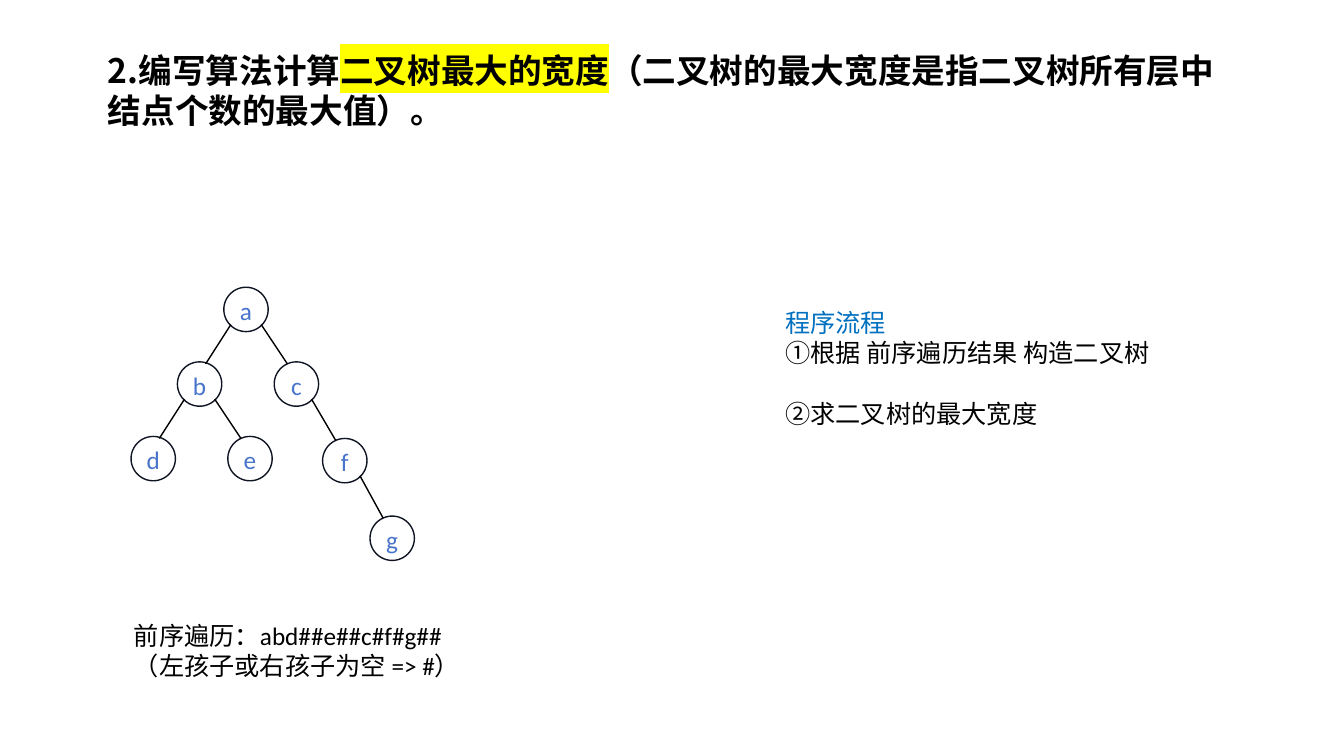
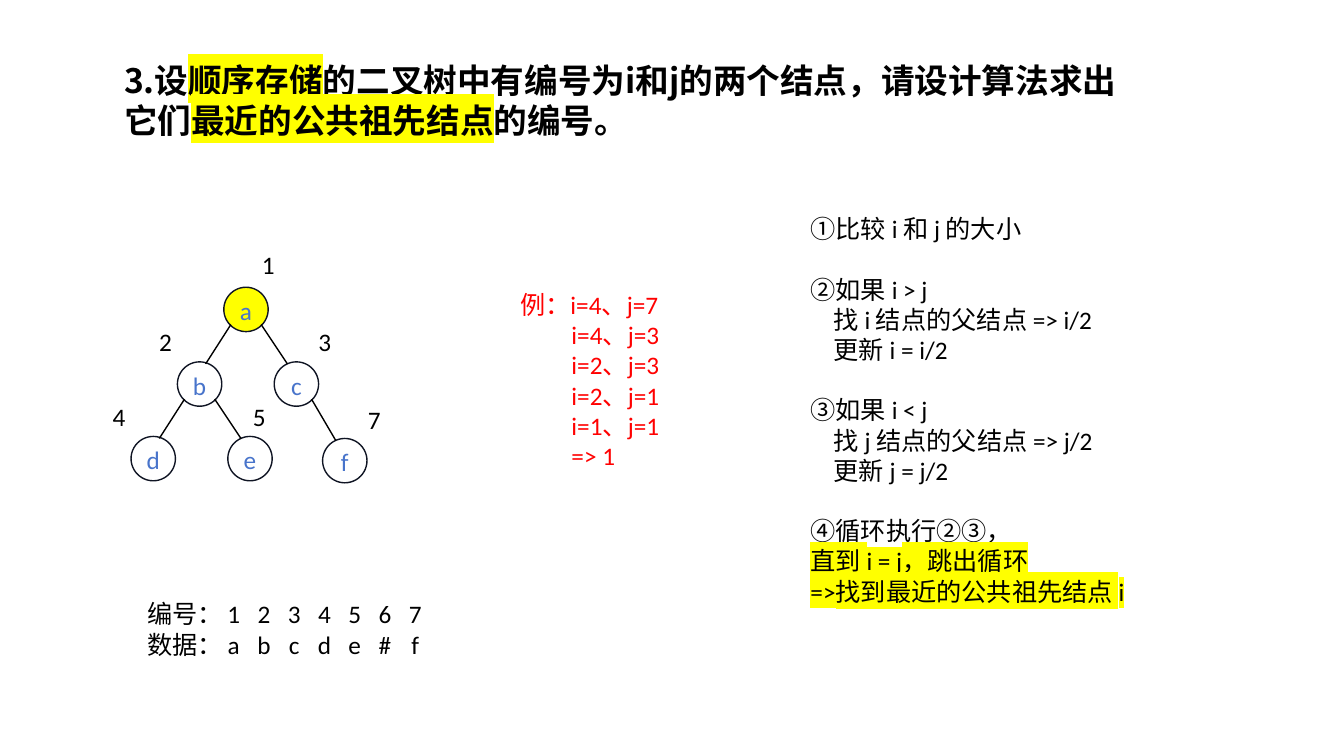
from dataclasses import dataclass

from lxml.etree import SubElement
from pptx import Presentation
from pptx.dml.color import RGBColor
from pptx.enum.lang import MSO_LANGUAGE_ID as Lang
from pptx.enum.shapes import MSO_CONNECTOR as Connector, MSO_SHAPE as Shape
from pptx.enum.text import MSO_ANCHOR as Anchor, MSO_AUTO_SIZE as AutoSize, PP_ALIGN as Align
from pptx.oxml.ns import qn
from pptx.util import Inches, Pt

# Shared style
BLACK = RGBColor(0x00, 0x00, 0x00)
RED = RGBColor(0xFF, 0x00, 0x00)
BLUE = RGBColor(0x00, 0x70, 0xC0)
LABEL_BLUE = RGBColor(0x48, 0x74, 0xCB)
OUTLINE = RGBColor(0x0F, 0x14, 0x23)
YELLOW = RGBColor(0xFF, 0xFF, 0x00)
TITLE_FONT, BODY_FONT = "Noto Sans CJK SC", "Calibri"
TITLE_SIZE, BODY_SIZE = Pt(24), Pt(18)
LINE_GAP = Pt(21.5)

# Tree geometry: node centres, and the parent of each child
DIAMETER = 0.44
CENTRES = {
    "a": (2.44, 3.07),
    "b": (1.98, 3.81), "c": (2.94, 3.81),
    "d": (1.52, 4.55), "e": (2.48, 4.55), "f": (3.42, 4.57),
    "g": (3.89, 5.34),
}
PARENTS = {"b": "a", "c": "a", "d": "b", "e": "b", "f": "c", "g": "f"}

# Node numbers, with box offsets from the node centres
NUMBERS = {
    "a": ("1", 0.06, -0.65), "b": ("2", -0.5, -0.62), "c": ("3", 0.12, -0.62),
    "d": ("4", -0.5, -0.62), "e": ("5", -0.07, -0.62), "f": ("7", 0.13, -0.61),
}


@dataclass
class Line:
    text: str
    indent: float = 0
    gap: bool = False
    color: RGBColor = BLACK
    marked: bool = False


def add_run(paragraph, text, marked=False, east_asian=None):
    run = paragraph.add_run()
    run.text = text
    run.font.language_id = Lang.SIMPLIFIED_CHINESE
    properties = run._r.get_or_add_rPr()
    if marked:
        highlight = SubElement(properties, qn("a:highlight"))
        SubElement(highlight, qn("a:srgbClr")).set("val", str(YELLOW))
    if east_asian:
        SubElement(properties, qn("a:ea")).set("typeface", east_asian)


def set_font(paragraph, name, size, color, bold=False):
    font = paragraph.font
    font.name, font.size, font.bold = name, size, bold
    font.color.rgb = color


def add_title_slide(deck, box, segments):
    """Segments are (text, highlighted) pairs."""
    slide = deck.slides.add_slide(deck.slide_layouts[5])
    title = slide.shapes.title
    title.left, title.top, title.width, title.height = map(Inches, box)
    frame = title.text_frame
    frame.word_wrap = True
    frame.auto_size = AutoSize.NONE
    frame.vertical_anchor = Anchor.TOP
    paragraph = frame.paragraphs[0]
    paragraph.alignment = Align.LEFT
    paragraph.line_spacing = 1.0
    set_font(paragraph, TITLE_FONT, TITLE_SIZE, BLACK, bold=True)
    for text, marked in segments:
        add_run(paragraph, text, marked, TITLE_FONT)
    return slide


def add_lines(slide, box, lines, tabs=()):
    frame = slide.shapes.add_textbox(*map(Inches, box)).text_frame
    frame.word_wrap = True
    for index, line in enumerate(lines):
        paragraph = frame.add_paragraph() if index else frame.paragraphs[0]
        if line.gap:
            paragraph.space_before = LINE_GAP
        properties = paragraph._p.get_or_add_pPr()
        if line.indent:
            properties.set("marL", str(Inches(line.indent)))
        if tabs:
            stops = SubElement(properties, qn("a:tabLst"))
            for position in tabs:
                stop = SubElement(stops, qn("a:tab"))
                stop.set("pos", str(Inches(position)))
                stop.set("algn", "ctr")
        set_font(paragraph, BODY_FONT, BODY_SIZE, line.color)
        add_run(paragraph, line.text, line.marked)


def add_node(slide, label, fill=None):
    x, y = CENTRES[label]
    node = slide.shapes.add_shape(
        Shape.OVAL, Inches(x - DIAMETER / 2), Inches(y - DIAMETER / 2),
        Inches(DIAMETER), Inches(DIAMETER))
    node.shadow.inherit = False
    if fill is None:
        node.fill.background()
    else:
        node.fill.solid()
        node.fill.fore_color.rgb = fill
    node.line.color.rgb = OUTLINE
    node.line.width = Pt(1)
    frame = node.text_frame
    frame.margin_left = frame.margin_right = frame.margin_bottom = 0
    frame.margin_top = Inches(0.02)
    frame.word_wrap = False
    frame.vertical_anchor = Anchor.MIDDLE
    paragraph = frame.paragraphs[0]
    paragraph.alignment = Align.CENTER
    set_font(paragraph, BODY_FONT, BODY_SIZE, LABEL_BLUE)
    add_run(paragraph, label)


def add_branch(slide, parent, child):
    (px, py), (cx, cy) = CENTRES[parent], CENTRES[child]
    start_dx, end_dx = (-0.15, 0.06) if cx < px else (0.15, -0.09)
    branch = slide.shapes.add_connector(
        Connector.STRAIGHT, Inches(px + start_dx), Inches(py + 0.15),
        Inches(cx + end_dx), Inches(cy - 0.2))
    branch.line.color.rgb = BLACK
    branch.line.width = Pt(1)
    SubElement(branch._element.spPr, qn("a:effectLst"))


def add_tree(slide, labels, highlighted=""):
    for label in labels:
        add_node(slide, label, YELLOW if label in highlighted else None)
        if label in PARENTS:
            add_branch(slide, PARENTS[label], label)


def add_numbers(slide):
    for label, (number, dx, dy) in NUMBERS.items():
        x, y = CENTRES[label]
        add_lines(slide, (x + dx, y + dy, 0.44, 0.34), [Line(number)])


def build_width_slide(deck):
    slide = add_title_slide(deck, (0.97, 0.44, 11.48, 1.19), [
        ("2.编写算法计算", False),
        ("二叉树最大的宽度", True),
        ("（二叉树的最大宽度是指二叉树所有层中结点个数的最大值）。", False),
    ])
    add_tree(slide, "abcdefg")
    add_lines(slide, (1.23, 6.1, 4.31, 0.71), [
        Line("前序遍历：abd##e##c#f#g##"),
        Line("（左孩子或右孩子为空 => #）"),
    ])
    add_lines(slide, (7.69, 3, 4.14, 1.5), [
        Line("程序流程", color=BLUE),
        Line("①根据 前序遍历结果 构造二叉树"),
        Line("②求二叉树的最大宽度", gap=True),
    ])


def build_ancestor_slide(deck):
    slide = add_title_slide(deck, (1.13, 0.54, 10.25, 1.1), [
        ("3.设", False),
        ("顺序存储", True),
        ("的二叉树中有编号为i和j的两个结点，请设计算法求出它们", False),
        ("最近的公共祖先结点", True),
        ("的编号。", False),
    ])
    add_tree(slide, "abcdef", highlighted="a")
    add_numbers(slide)

    # Sequential storage
    add_lines(slide, (1.36, 5.89, 5.22, 0.71), [
        Line("\t".join(["编号：", *"1234567"])),
        Line("\t".join(["数据：", *"abcde#f"])),
    ], tabs=[0.86 + 0.3 * column for column in range(7)])

    # Worked example
    steps = ["i=4、j=3", "i=2、j=3", "i=2、j=1", "i=1、j=1", "=> 1"]
    add_lines(slide, (5.06, 2.82, 1.9, 1.92),
              [Line("例：i=4、j=7", color=RED)]
              + [Line(step, indent=0.51, color=RED) for step in steps])

    # Algorithm
    add_lines(slide, (7.94, 2.07, 4.49, 4.04), [
        Line("①比较 i 和 j 的大小"),
        Line("②如果 i > j", gap=True),
        Line("找 i 结点的父结点 => i/2", indent=0.23),
        Line("更新 i = i/2", indent=0.23),
        Line("③如果 i < j", gap=True),
        Line("找 j 结点的父结点 => j/2", indent=0.23),
        Line("更新 j = j/2", indent=0.23),
        Line("④循环执行②③，", gap=True),
        Line("直到 i = j，跳出循环", marked=True),
        Line("=>找到最近的公共祖先结点 i", marked=True),
    ])


def main():
    deck = Presentation()
    deck.slide_width, deck.slide_height = Inches(13.33), Inches(7.5)
    build_width_slide(deck)
    build_ancestor_slide(deck)
    deck.save("out.pptx")


if __name__ == "__main__":
    main()
